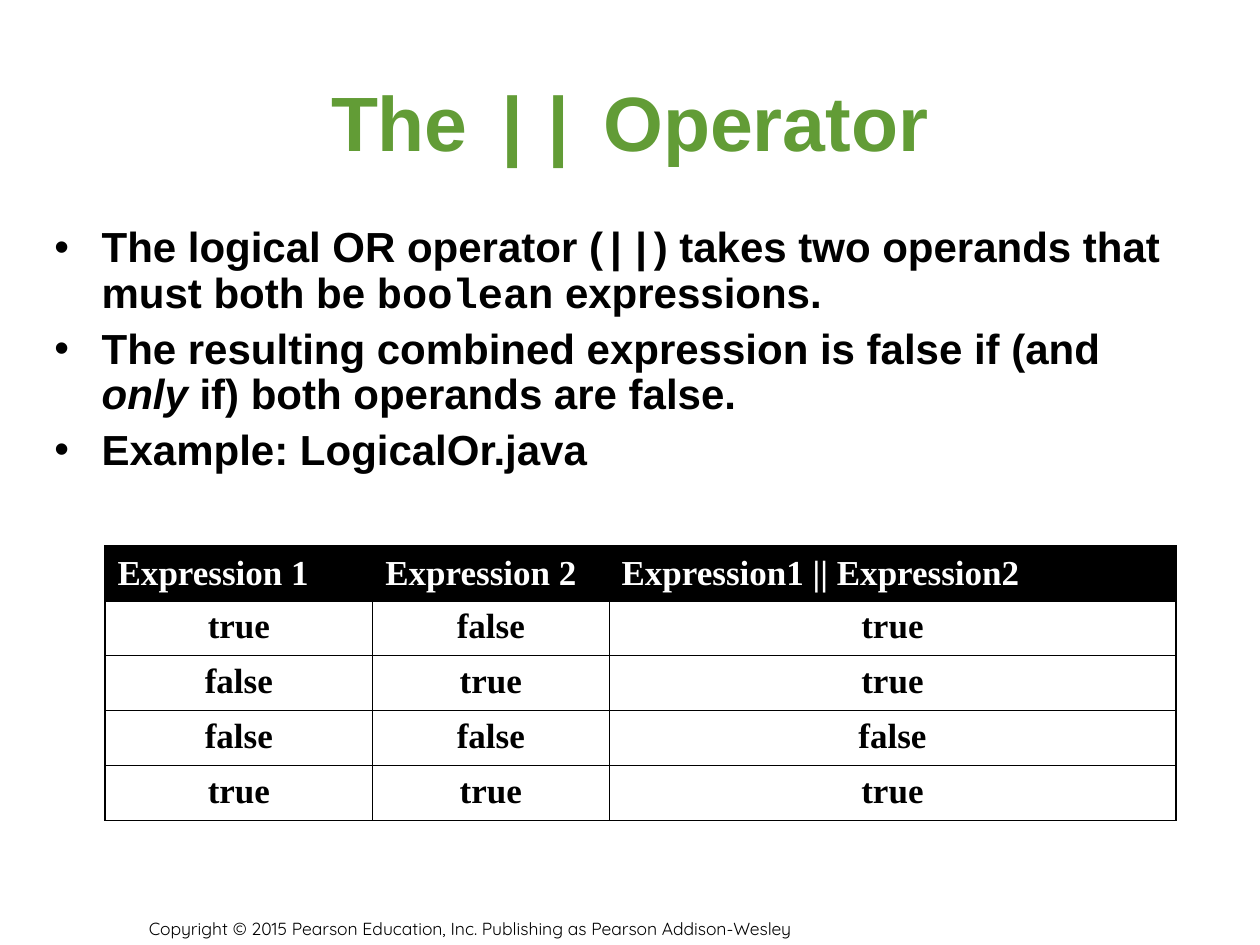
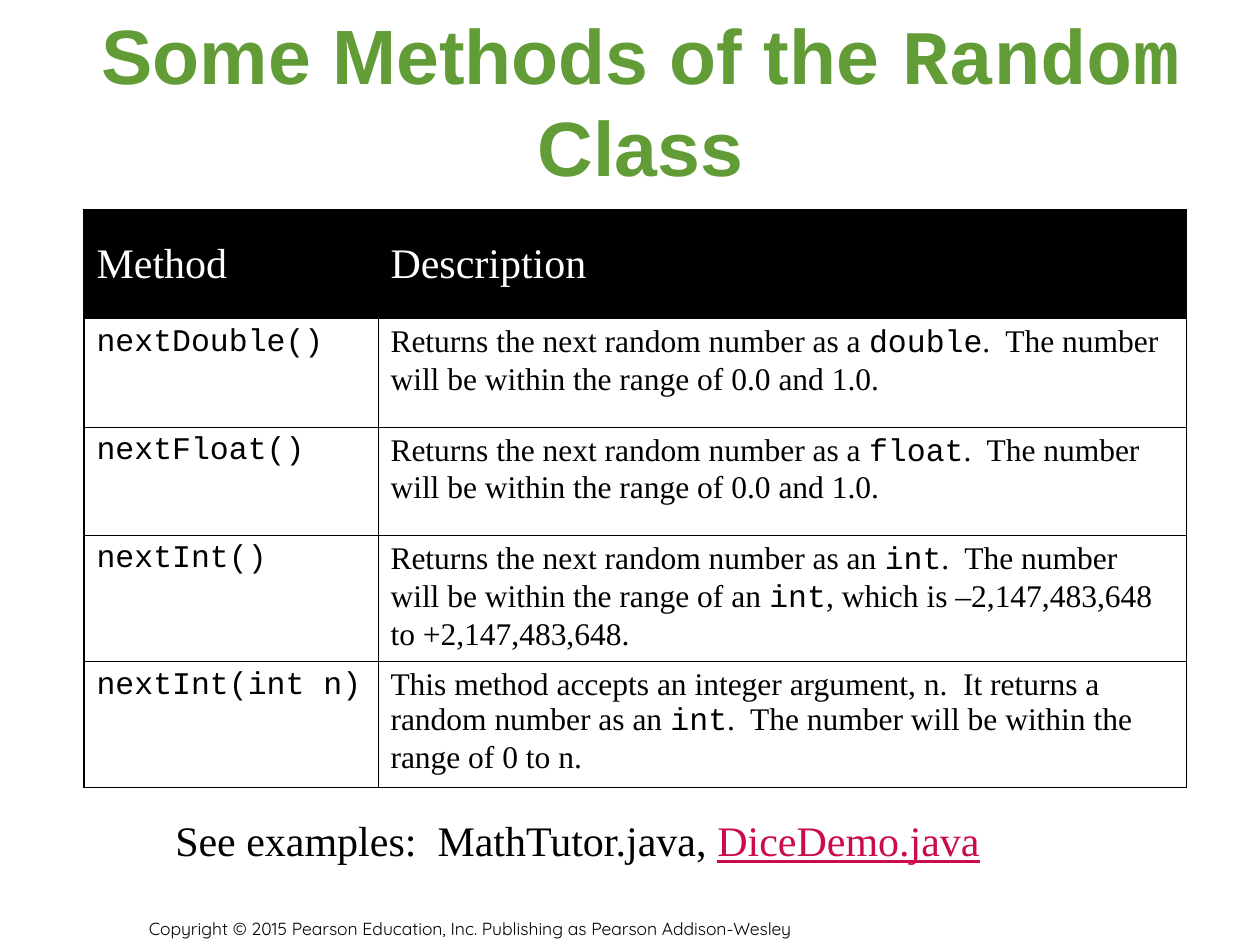
from lxml import etree
from pptx import Presentation
from pptx.dml.color import RGBColor
from pptx.enum.text import MSO_ANCHOR, PP_ALIGN
from pptx.oxml.ns import qn
from pptx.util import Pt

BLACK = RGBColor(0x00, 0x00, 0x00)
WHITE = RGBColor(0xFF, 0xFF, 0xFF)
GREEN = RGBColor(0x62, 0x9C, 0x36)
LINK_RED = RGBColor(0xCA, 0x0C, 0x48)

SANS, SERIF, MONO, FOOTER_FONT = "Arial", "Times New Roman", "Courier New", "Quicksand"
LEFT, CENTER = PP_ALIGN.LEFT, PP_ALIGN.CENTER
TOP, MIDDLE, BOTTOM = MSO_ANCHOR.TOP, MSO_ANCHOR.MIDDLE, MSO_ANCHOR.BOTTOM

OUTER_LINE, INNER_LINE = Pt(1.08), Pt(0.45)
COPYRIGHT = "Copyright © 2015 Pearson Education, Inc. Publishing as Pearson Addison-Wesley"


def write(paragraph, text, font=SERIF, size=24, color=BLACK, align=LEFT, **flags):
    """Append text to a paragraph; parts between backticks are set as code."""
    paragraph.alignment = align
    for index, part in enumerate(text.split("`")):
        if not part:
            continue
        run = paragraph.add_run()
        run.text = part
        run.font.name = MONO if index % 2 else font
        run.font.size = Pt(size)
        run.font.color.rgb = color
        for flag, value in flags.items():
            setattr(run.font, flag, value)


def add_bullet(paragraph, indent):
    properties = paragraph._p.get_or_add_pPr()
    properties.set("marL", str(indent))
    properties.set("indent", str(-indent))
    color = etree.SubElement(properties, qn("a:buClr"))
    etree.SubElement(color, qn("a:srgbClr"), val=str(BLACK))
    etree.SubElement(properties, qn("a:buFont"), typeface=SANS)
    etree.SubElement(properties, qn("a:buChar"), char="•")


def add_border(cell, side, width):
    line = etree.SubElement(cell._tc.get_or_add_tcPr(), qn(f"a:ln{side}"), w=str(width))
    fill = etree.SubElement(line, qn("a:solidFill"))
    etree.SubElement(fill, qn("a:srgbClr"), val=str(BLACK))


class Deck:
    def __init__(self):
        self.presentation = Presentation()
        self.presentation.slide_width = Pt(720)
        self.presentation.slide_height = Pt(540)
        self.slide = None

    def new_slide(self):
        self.slide = self.presentation.slides.add_slide(self.presentation.slide_layouts[6])
        footer = self.text_box(78, 516, 515.5, 24, BOTTOM)
        write(footer.paragraphs[0], COPYRIGHT, font=FOOTER_FONT, size=10)

    def text_box(self, left, top, width, height, anchor=TOP):
        box = self.slide.shapes.add_textbox(Pt(left), Pt(top), Pt(width), Pt(height))
        frame = box.text_frame
        frame.word_wrap = True
        frame.vertical_anchor = anchor
        return frame

    def title(self, text, top, width):
        frame = self.text_box(36, top, width, 90, MIDDLE)
        write(frame.paragraphs[0], text, font=SANS, size=44, color=GREEN,
              align=CENTER, bold=True)

    def bullets(self, items, left, top, width, height):
        """Each item is a list of (text, format) pieces."""
        frame = self.text_box(left, top, width, height)
        for index, pieces in enumerate(items):
            paragraph = frame.add_paragraph() if index else frame.paragraphs[0]
            add_bullet(paragraph, Pt(27))
            paragraph.line_spacing = 0.9
            if index:
                paragraph.space_before = Pt(6)
            for text, style in pieces:
                write(paragraph, text, font=SANS, bold=True, **style)

    def table(self, rows, left, top, widths, heights, header_style, body_style):
        last_row, last_column = len(rows) - 1, len(widths) - 1
        table = self.slide.shapes.add_table(
            len(rows), len(widths), Pt(left), Pt(top),
            Pt(sum(widths)), Pt(sum(heights))).table
        table.first_row = table.horz_banding = False
        for column, width in zip(table.columns, widths):
            column.width = Pt(width)
        for r, (texts, height) in enumerate(zip(rows, heights)):
            table.rows[r].height = Pt(height)
            for c, text in enumerate(texts):
                cell = table.cell(r, c)
                edges = {"L": c == 0, "R": c == last_column, "T": r == 0, "B": r == last_row}
                for side, is_outer in edges.items():
                    add_border(cell, side, OUTER_LINE if is_outer else INNER_LINE)
                if r == 0:
                    cell.fill.solid()
                    cell.fill.fore_color.rgb = BLACK
                    cell.vertical_anchor = MIDDLE
                else:
                    cell.fill.background()
                write(cell.text_frame.paragraphs[0], text,
                      **(body_style if r else header_style))


def or_operator_slide(deck):
    deck.new_slide()
    deck.title("The `||` Operator", 24, 648)
    deck.bullets([
        [("The logical OR operator (`||`) takes two operands that must both be "
          "`boolean` expressions.", {})],
        [("The resulting combined expression is false if (and ", {}),
         ("only", {"italic": True}),
         (" if) both operands are false.", {})],
        [("Example: LogicalOr.java", {})],
    ], 24, 126, 653, 174)

    # Truth table
    operands = [(True, False), (False, True), (False, False), (True, True)]
    truth_rows = [[str(value).lower() for value in (a, b, a or b)] for a, b in operands]
    header = ["Expression 1", "Expression 2", "Expression1 || Expression2"]
    deck.table([header] + truth_rows, 60, 312, [153, 135, 324], [31.4] * 5,
               header_style=dict(size=20, color=WHITE, bold=True),
               body_style=dict(size=20, align=CENTER, bold=True))


def random_methods_slide(deck):
    deck.new_slide()
    deck.title("Some Methods of the `Random` Class", 12, 660)

    # Method table
    real_number = ("Returns the next random number as a `{}`.  "
                   "The number will be within the range of 0.0 and 1.0.")
    methods = [
        ("Method", "Description"),
        ("`nextDouble()`", real_number.format("double")),
        ("`nextFloat()`", real_number.format("float")),
        ("`nextInt()`",
         "Returns the next random number as an `int`.  The number will be within "
         "the range of an `int`, which is –2,147,483,648 to +2,147,483,648."),
        ("`nextInt(int n)`",
         "This method accepts an integer argument, n.  It returns a random number "
         "as an `int`.  The number will be within the range of 0 to n."),
    ]
    deck.table(methods, 48, 120, [168, 462], [62] * 3 + [72] * 2,
               header_style=dict(color=WHITE), body_style=dict(size=18))

    # Example files
    examples = deck.text_box(54, 462, 552, 36).paragraphs[0]
    write(examples, "See examples:  MathTutor.java, ", align=CENTER)
    write(examples, "DiceDemo.java", color=LINK_RED, align=CENTER, underline=True)


def main():
    deck = Deck()
    or_operator_slide(deck)
    random_methods_slide(deck)
    deck.presentation.save("out.pptx")


if __name__ == "__main__":
    main()
